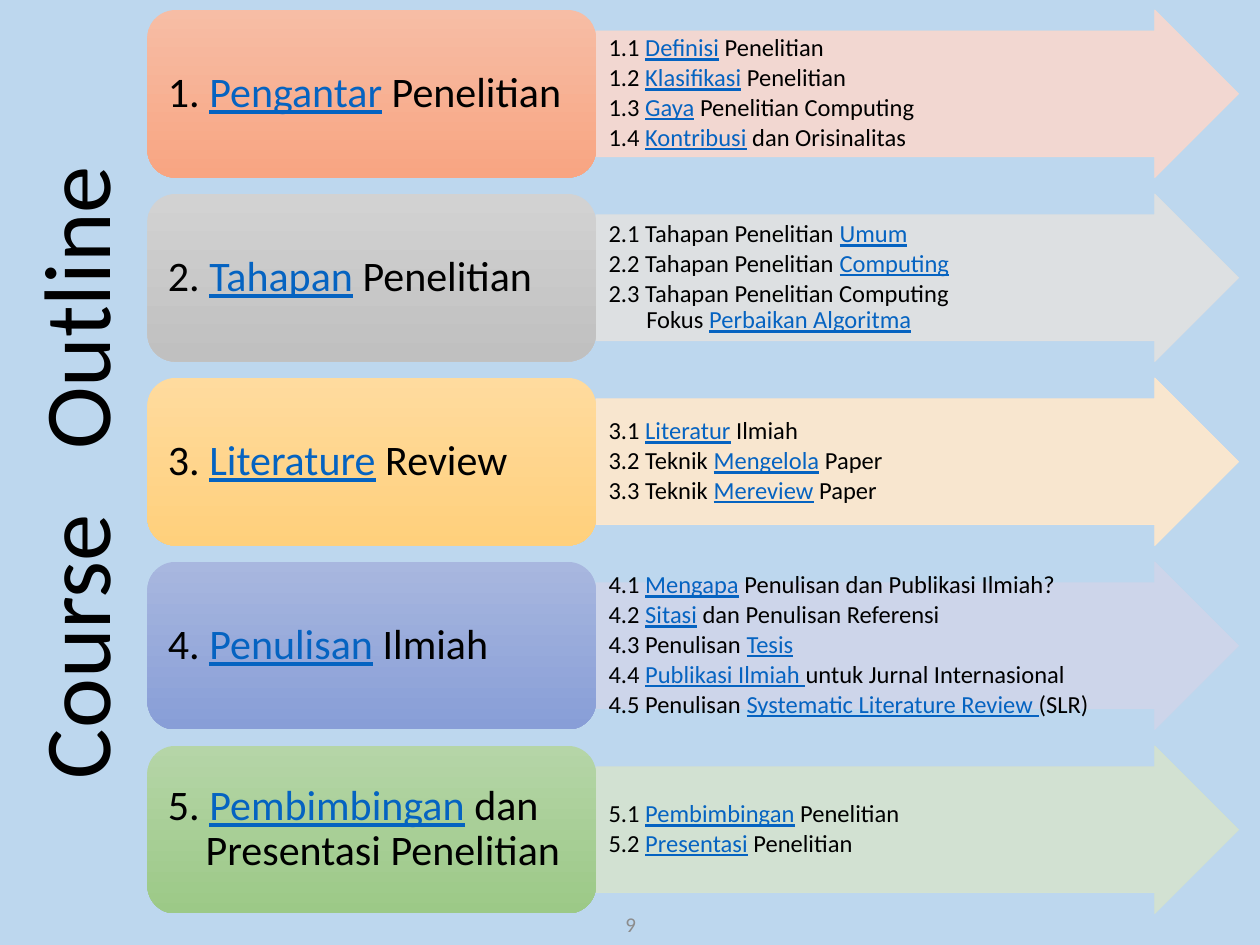
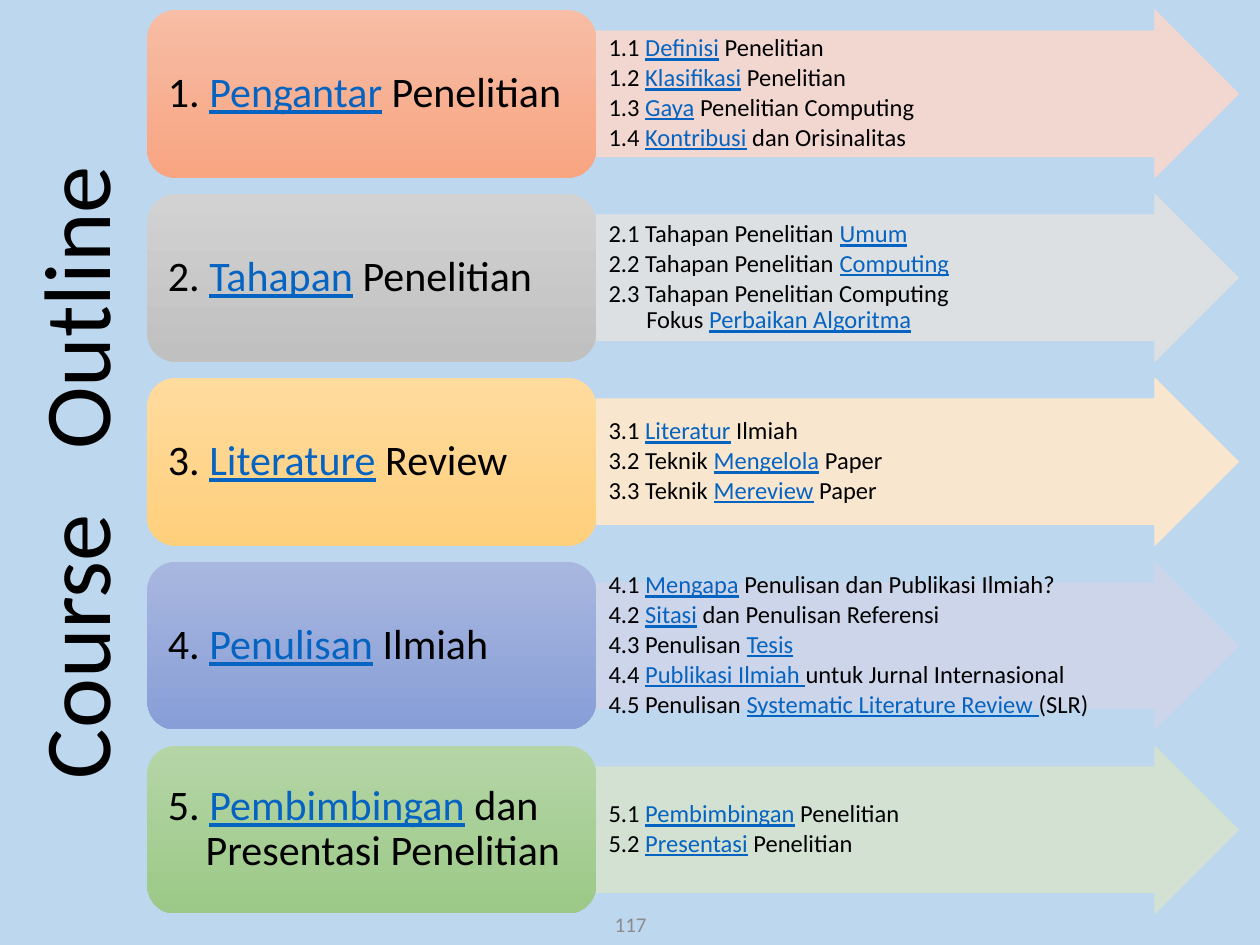
from typing import NamedTuple

from lxml.etree import SubElement as SubEl
from pptx import Presentation
from pptx.dml.color import RGBColor as RGB
from pptx.enum.shapes import MSO_SHAPE as Kind
from pptx.enum.text import MSO_ANCHOR as Anchor, PP_ALIGN as Align
from pptx.oxml.ns import qn
from pptx.util import Inches, Pt

FONT = "Calibri"
BLACK = RGB(0x00, 0x00, 0x00)
GREY = RGB(0x8C, 0x8C, 0x8C)
BLUE = RGB(0x05, 0x63, 0xC1)
SKY = RGB(0xBD, 0xD7, 0xEE)

TOP, PITCH, HEIGHT = 0.08, 1.46, 1.33
BOX_LEFT, BOX_WIDTH, ARROW_WIDTH = 1.17, 3.56, 5.1
PAGES = ("9", "117")


class Unit(NamedTuple):
    """A course unit; words in square brackets are marked, \\v breaks a line."""
    title: str
    topics: tuple[str, ...]
    light: RGB
    dark: RGB
    pale: RGB


UNITS = (
    Unit("1. [Pengantar] Penelitian",
         ("1.1 [Definisi] Penelitian",
          "1.2 [Klasifikasi] Penelitian",
          "1.3 [Gaya] Penelitian Computing",
          "1.4 [Kontribusi] dan Orisinalitas"),
         RGB(0xF7, 0xBD, 0xA5), RGB(0xF8, 0xA5, 0x82), RGB(0xF8, 0xD7, 0xCE)),
    Unit("2. [Tahapan] Penelitian",
         ("2.1 Tahapan Penelitian [Umum]",
          "2.2 Tahapan Penelitian [Computing]",
          "2.3 Tahapan Penelitian Computing\vFokus [Perbaikan Algoritma]"),
         RGB(0xD2, 0xD2, 0xD2), RGB(0xC0, 0xC0, 0xC0), RGB(0xE1, 0xE1, 0xE1)),
    Unit("3. [Literature] Review",
         ("3.1 [Literatur] Ilmiah",
          "3.2 Teknik [Mengelola] Paper",
          "3.3 Teknik [Mereview] Paper"),
         RGB(0xFF, 0xDB, 0x9E), RGB(0xFF, 0xD0, 0x7C), RGB(0xFF, 0xE8, 0xCC)),
    Unit("4. [Penulisan] Ilmiah",
         ("4.1 [Mengapa] Penulisan dan Publikasi Ilmiah?",
          "4.2 [Sitasi] dan Penulisan Referensi",
          "4.3 Penulisan [Tesis]",
          "4.4 [Publikasi Ilmiah ]untuk Jurnal Internasional",
          "4.5 Penulisan [Systematic Literature Review ](SLR)"),
         RGB(0xA8, 0xB7, 0xDF), RGB(0x88, 0x9E, 0xD7), RGB(0xCF, 0xD5, 0xEA)),
    Unit("5. [Pembimbingan] dan\vPresentasi Penelitian",
         ("5.1 [Pembimbingan] Penelitian",
          "5.2 [Presentasi] Penelitian"),
         RGB(0xB5, 0xD5, 0xA7), RGB(0x9C, 0xC9, 0x87), RGB(0xD5, 0xE3, 0xCF)),
)


def add_shape(slide, kind: Kind, left: float, top: float, width: float, height: float):
    shape = slide.shapes.add_shape(
        kind, Inches(left), Inches(top), Inches(width), Inches(height))
    shape.shadow.inherit = False
    shape.line.fill.background()
    return shape


def set_font(para, size: float, color: RGB = BLACK) -> None:
    para.font.name = FONT
    para.font.size = Pt(size)
    para.font.color.rgb = color


def add_run(para, text: str, color: RGB = BLACK):
    run = para.add_run()
    run.text = text
    run.font.color.rgb = color
    return run


def add_marked(para, text: str) -> None:
    """Write one line of text, with bracketed words blue and underlined."""
    for i, part in enumerate(text.replace("]", "[").split("[")):
        marked = i % 2 == 1
        for j, line in enumerate(part.split("\v")):
            if j:
                para.add_line_break()
            if line:
                run = add_run(para, line, BLUE if marked else BLACK)
                if marked:
                    run.font.underline = True


def fill_text(shape, lines: tuple[str, ...], size: float, start: float,
              inset: float, after: float) -> None:
    """Set left-aligned lines whose second rows hang 0.3 inch further in."""
    frame = shape.text_frame
    frame.word_wrap = True
    frame.vertical_anchor = Anchor.MIDDLE
    frame.margin_left = frame.margin_right = Inches(inset)
    frame.margin_top = frame.margin_bottom = Inches(min(inset, 0.05))
    for i, line in enumerate(lines):
        para = frame.add_paragraph() if i else frame.paragraphs[0]
        para.alignment = Align.LEFT
        para.line_spacing = 0.9
        para.space_after = Pt(after)
        props = para._p.get_or_add_pPr()
        props.set("marL", str(Inches(start + 0.3)))
        props.set("indent", str(-Inches(0.3)))
        set_font(para, size)
        add_marked(para, line)


def set_alpha(shape, percent: int) -> None:
    for color in shape._element.spPr.iter(qn("a:srgbClr")):
        SubEl(color, qn("a:alpha"), val=str(percent * 1000))


def add_unit(slide, unit: Unit, top: float) -> None:
    arrow = add_shape(slide, Kind.RIGHT_ARROW, BOX_LEFT + BOX_WIDTH, top,
                      ARROW_WIDTH, HEIGHT)
    arrow.adjustments[0] = 0.75
    arrow.fill.solid()
    arrow.fill.fore_color.rgb = unit.pale
    arrow.line.color.rgb = unit.pale
    arrow.line.width = Pt(0.5)
    set_alpha(arrow, 90)
    fill_text(arrow, unit.topics, size=14, start=0.09, inset=0.01, after=1.9)

    box = add_shape(slide, Kind.ROUNDED_RECTANGLE, BOX_LEFT, top, BOX_WIDTH, HEIGHT)
    box.fill.gradient()
    box.fill.gradient_angle = 270
    for stop, color in zip(box.fill.gradient_stops, (unit.light, unit.dark)):
        stop.color.rgb = color
    fill_text(box, (unit.title,), size=24, start=0, inset=0.1, after=0)


def add_banner(slide) -> None:
    """Cover the slide with a turned panel that carries the title."""
    panel = add_shape(slide, Kind.RECTANGLE, 1.35, -1.45, 7.5, 10.4)
    panel.rotation = 270
    panel.fill.solid()
    panel.fill.fore_color.rgb = SKY
    frame = panel.text_frame
    frame.word_wrap = True
    frame.vertical_anchor = Anchor.TOP
    frame.margin_top = Inches(0.23)
    para = frame.paragraphs[0]
    para.alignment = Align.CENTER
    set_font(para, 54)
    add_run(para, "Course")
    gap = add_run(para, " ")
    gap._r.get_or_add_rPr().set("spc", "2440")
    add_run(para, "Outline")


def add_page(slide, page: str) -> None:
    box = slide.shapes.add_textbox(
        Inches(3.88), Inches(7.17), Inches(2.25), Inches(0.33))
    frame = box.text_frame
    frame.word_wrap = True
    frame.vertical_anchor = Anchor.MIDDLE
    para = frame.paragraphs[0]
    para.alignment = Align.CENTER
    set_font(para, 12, GREY)
    add_run(para, page, GREY)


def main() -> None:
    deck = Presentation()
    deck.slide_width, deck.slide_height = Inches(10), Inches(7.5)
    for page in PAGES:
        slide = deck.slides.add_slide(deck.slide_layouts[6])
        add_banner(slide)
        for i, unit in enumerate(UNITS):
            add_unit(slide, unit, TOP + i * PITCH)
        add_page(slide, page)
    deck.save("out.pptx")


if __name__ == "__main__":
    main()
